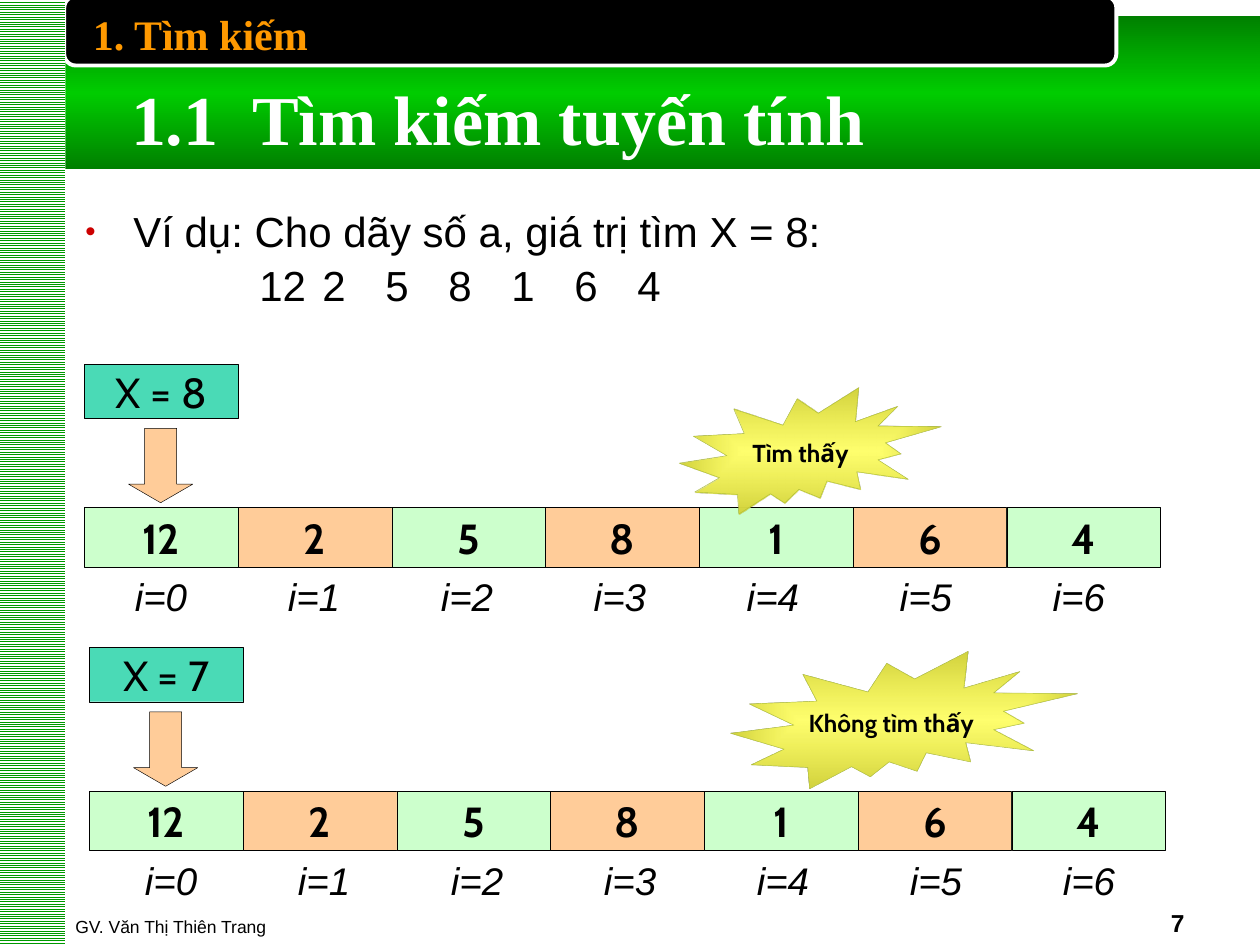
import lxml.etree
import pptx
import pptx.dml.color
import pptx.enum.dml
import pptx.enum.shapes
import pptx.enum.text
import pptx.oxml.ns
import pptx.util

Inches = pptx.util.Inches
Pt = pptx.util.Pt
SHAPE = pptx.enum.shapes.MSO_SHAPE
ALIGN = pptx.enum.text.PP_ALIGN
ANCHOR = pptx.enum.text.MSO_ANCHOR

COLORS = {
    "black": "000000", "white": "FFFFFF", "orange": "FF9900", "red": "CC0000",
    "band_edge": "008000", "band_middle": "00CC00", "stripe": "009900",
    "mint": "CCFFCC", "peach": "FFCC99", "teal": "00CC99",
    "seal_center": "FFFF4B", "seal_edge": "D2D23E", "seal_line": "AFBF39",
}
NUMBERS = [12, 2, 5, 8, 1, 6, 4]
CELL_WIDTH = 1.22


def rgb(name):
    """Return the named colour."""
    return pptx.dml.color.RGBColor.from_string(COLORS[name])


def add_xml(parent, tag, **attributes):
    """Append a drawing element and return it."""
    return lxml.etree.SubElement(parent, pptx.oxml.ns.qn(tag), attributes)


def style_para(para, font, size, color="black", bold=False, italic=False, align=ALIGN.LEFT):
    """Set the font and alignment of a paragraph."""
    para.alignment = align
    para.font.name = font
    para.font.size = Pt(size)
    para.font.bold = bold
    para.font.italic = italic
    para.font.color.rgb = rgb(color)


def add_box(shapes, kind, frame, fill=None, line=None, weight=0.25):
    """Add a flat preset shape in the given frame."""
    box = shapes.add_shape(kind, *map(Inches, frame))
    box.shadow.inherit = False
    if fill:
        box.fill.solid()
        box.fill.fore_color.rgb = rgb(fill)
    if line:
        box.line.color.rgb = rgb(line)
        box.line.width = Pt(weight)
    else:
        box.line.fill.background()
    return box


def add_label(box, text, size, bold=False):
    """Write centred text in a shape."""
    box.text_frame.word_wrap = False
    box.text_frame.vertical_anchor = ANCHOR.MIDDLE
    para = box.text_frame.paragraphs[0]
    para.text = text
    style_para(para, "Cabin", size, bold=bold, align=ALIGN.CENTER)


def add_text(page, frame, text, anchor=ANCHOR.TOP, **style):
    """Add a wrapped text box with one styled paragraph."""
    box = page.shapes.add_textbox(*map(Inches, frame))
    box.text_frame.word_wrap = True
    box.text_frame.vertical_anchor = anchor
    para = box.text_frame.paragraphs[0]
    para.text = text
    style_para(para, **style)
    return box


def set_gradient(box, stops):
    """Fill a shape with (position, colour, opacity) stops and return the fill element."""
    box.fill.background()
    empty = box.element.spPr.find(pptx.oxml.ns.qn("a:noFill"))
    gradient = lxml.etree.Element(pptx.oxml.ns.qn("a:gradFill"), rotWithShape="1")
    stop_list = add_xml(gradient, "a:gsLst")
    for position, color, opacity in stops:
        stop = add_xml(stop_list, "a:gs", pos=str(position * 1000))
        value = add_xml(stop, "a:srgbClr", val=COLORS[color])
        if opacity < 100:
            add_xml(value, "a:alpha", val=str(opacity * 1000))
    empty.getparent().replace(empty, gradient)
    return gradient


def build_header(page):
    """Place the green band, the chapter tab, the striped margin and the titles."""
    band = add_box(page.shapes, SHAPE.RECTANGLE, (0, 0.13, 10.01, 1.21))
    gradient = set_gradient(
        band, [(0, "band_edge", 100), (50, "band_middle", 100), (100, "band_edge", 100)])
    add_xml(gradient, "a:lin", ang="5400000", scaled="1")
    add_box(page.shapes, SHAPE.ROUNDED_RECTANGLE, (0.51, -0.03, 8.35, 0.55),
            "black", "white", 2.25)
    margin = add_box(page.shapes, SHAPE.RECTANGLE, (-0.01, 0, 0.53, 7.5))
    margin.fill.patterned()
    margin.fill.pattern = pptx.enum.dml.MSO_PATTERN.LIGHT_HORIZONTAL
    margin.fill.fore_color.rgb = rgb("stripe")
    margin.fill.back_color.rgb = rgb("white")
    add_text(page, (0.58, 0.02, 2.02, 0.5), "1. Tìm kiếm", font="Times New Roman",
             size=24, color="orange", bold=True, align=ALIGN.CENTER)

    title = page.shapes.title
    title.left, title.top, title.width, title.height = map(Inches, (0.94, 0.55, 6.04, 0.77))
    title.text_frame.word_wrap = False
    title.text_frame.auto_size = pptx.enum.text.MSO_AUTO_SIZE.SHAPE_TO_FIT_TEXT
    title.text_frame.vertical_anchor = ANCHOR.TOP
    title.text_frame.text = "1.1  Tìm kiếm tuyến tính"
    style_para(title.text_frame.paragraphs[0], "Times New Roman", 40, "white", bold=True)
    title.element.getparent().append(title.element)


def build_example(page, frame):
    """Write the bulleted example and its tabbed number sequence."""
    box = add_text(page, frame, "Ví dụ: Cho dãy số a, giá trị tìm X = 8:",
                   font="Arial", size=24, align=ALIGN.JUSTIFY)
    sequence = box.text_frame.add_paragraph()
    sequence.text = "\t\t\t" + "\t".join(map(str, NUMBERS))
    style_para(sequence, "Arial", 24, align=ALIGN.JUSTIFY)
    for para in box.text_frame.paragraphs:
        para.line_spacing = 0.9
        para.space_before = Pt(5)
        properties = para._p.get_or_add_pPr()
        properties.set("marL", str(Inches(0.38)))
        properties.set("indent", str(Inches(-0.38)))
    bullet = box.text_frame.paragraphs[0]._p.pPr
    add_xml(add_xml(bullet, "a:buClr"), "a:srgbClr", val=COLORS["red"])
    add_xml(bullet, "a:buSzPct", val="70000")
    add_xml(bullet, "a:buFont", typeface="Arial")
    add_xml(bullet, "a:buChar", char="•")


def build_pointer(page, left, top, text):
    """Group the searched value with the arrow below it."""
    group = page.shapes.add_group_shape()
    value = add_box(group.shapes, SHAPE.RECTANGLE, (left, top, CELL_WIDTH, 0.43), "teal", "black")
    color = value.element.spPr.find(".//" + pptx.oxml.ns.qn("a:srgbClr"))
    add_xml(color, "a:alpha", val="71000")
    add_label(value, text, 24)
    arrow = add_box(group.shapes, SHAPE.DOWN_ARROW, (left + 0.35, top + 0.51, 0.51, 0.59),
                    "peach", "black")
    arrow.adjustments[1] = 0.289


def build_indexes(page, left, top):
    """Place the table of index labels."""
    frame = page.shapes.add_table(1, len(NUMBERS), *map(Inches, (left, top, 8.5, 0.47)))
    table = frame.table
    table.first_row = False
    table.horz_banding = False
    for index, cell in enumerate(table.iter_cells()):
        cell.fill.background()
        para = cell.text_frame.paragraphs[0]
        para.text = f"i={index}"
        para.space_before = Pt(4.4)
        style_para(para, "Arial", 22, italic=True, align=ALIGN.CENTER)


def build_search(page, left, top, target, index_left, seal_frame, result):
    """Place one search: pointer, number cells, index labels and result seal."""
    for index, number in enumerate(NUMBERS):
        cell = add_box(page.shapes, SHAPE.RECTANGLE,
                       (left + index * CELL_WIDTH, top + 1.14, CELL_WIDTH, 0.47),
                       ("mint", "peach")[index % 2], "black")
        add_label(cell, str(number), 24, bold=True)
    build_pointer(page, left, top, f"X = {target}")
    seal = add_box(page.shapes, SHAPE.EXPLOSION2, seal_frame, line="seal_line")
    gradient = set_gradient(seal, [(0, "seal_center", 80), (100, "seal_edge", 100)])
    shade = add_xml(gradient, "a:path", path="shape")
    add_xml(shade, "a:fillToRect", l="50000", t="50000", r="50000", b="50000")
    add_label(seal, result, 14, bold=True)
    build_indexes(page, index_left, top + 1.64)


def build_footer(page):
    """Place the lecturer's name and the page number."""
    add_text(page, (0.5, 6.99, 6.08, 0.5), "GV. Văn Thị Thiên Trang", ANCHOR.BOTTOM,
             font="Arial", size=10)
    add_text(page, (7.17, 6.99, 2.33, 0.5), "7", ANCHOR.BOTTOM,
             font="Arial", size=14, bold=True, align=ALIGN.RIGHT)


def main():
    """Build and save the deck."""
    deck = pptx.Presentation()
    deck.slide_width, deck.slide_height = Inches(10), Inches(7.5)
    page = deck.slides.add_slide(deck.slide_layouts[5])
    build_header(page)
    build_footer(page)
    build_example(page, (0.58, 1.63, 9, 5.37))
    build_search(page, 0.67, 2.89, 8, 0.67, (5.39, 3.08, 2.08, 1), "Tìm thấy")
    build_search(page, 0.71, 5.14, 7, 0.75, (5.8, 5.17, 2.75, 1.09), "Không tìm thấy")
    deck.save("out.pptx")


if __name__ == "__main__":
    main()
